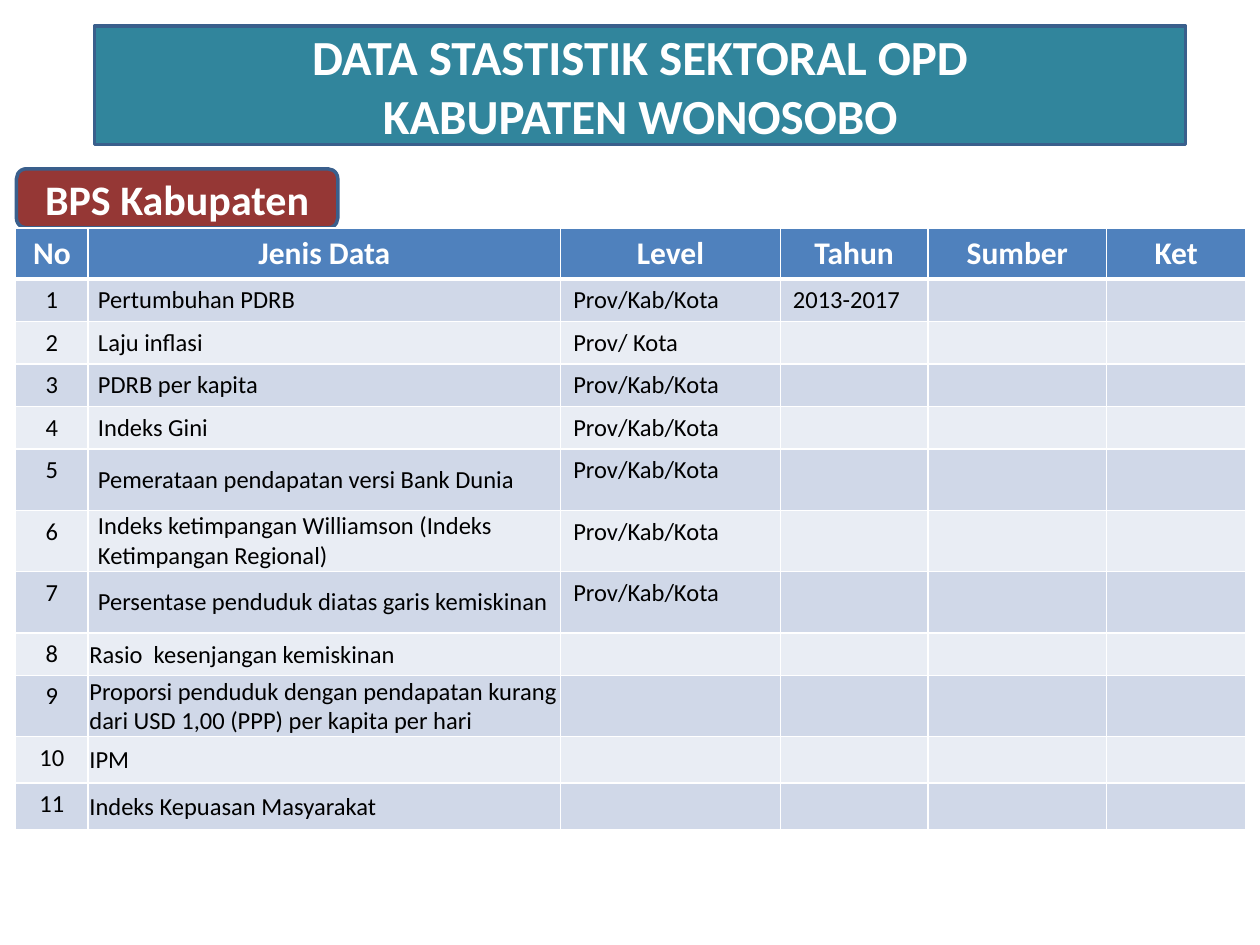
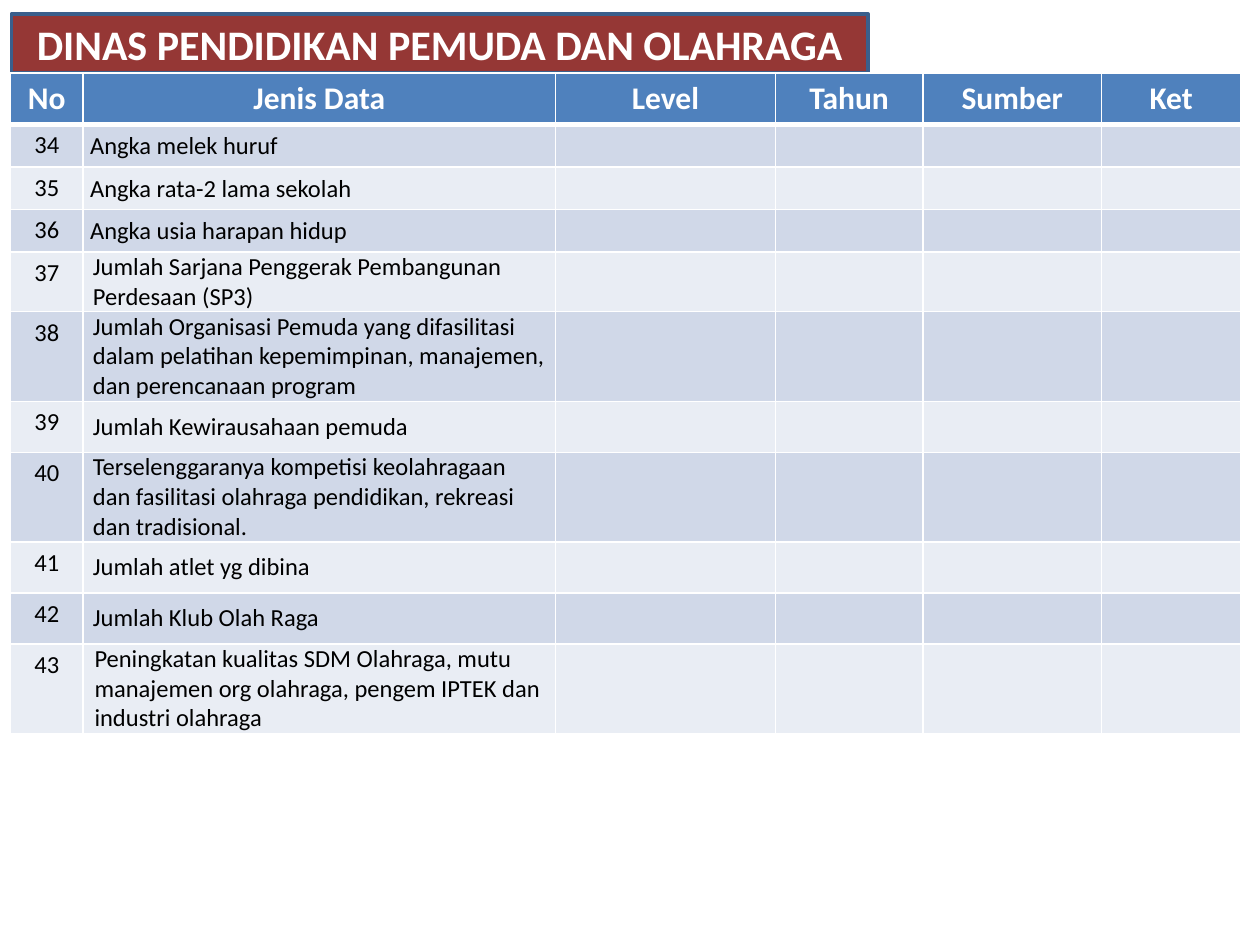
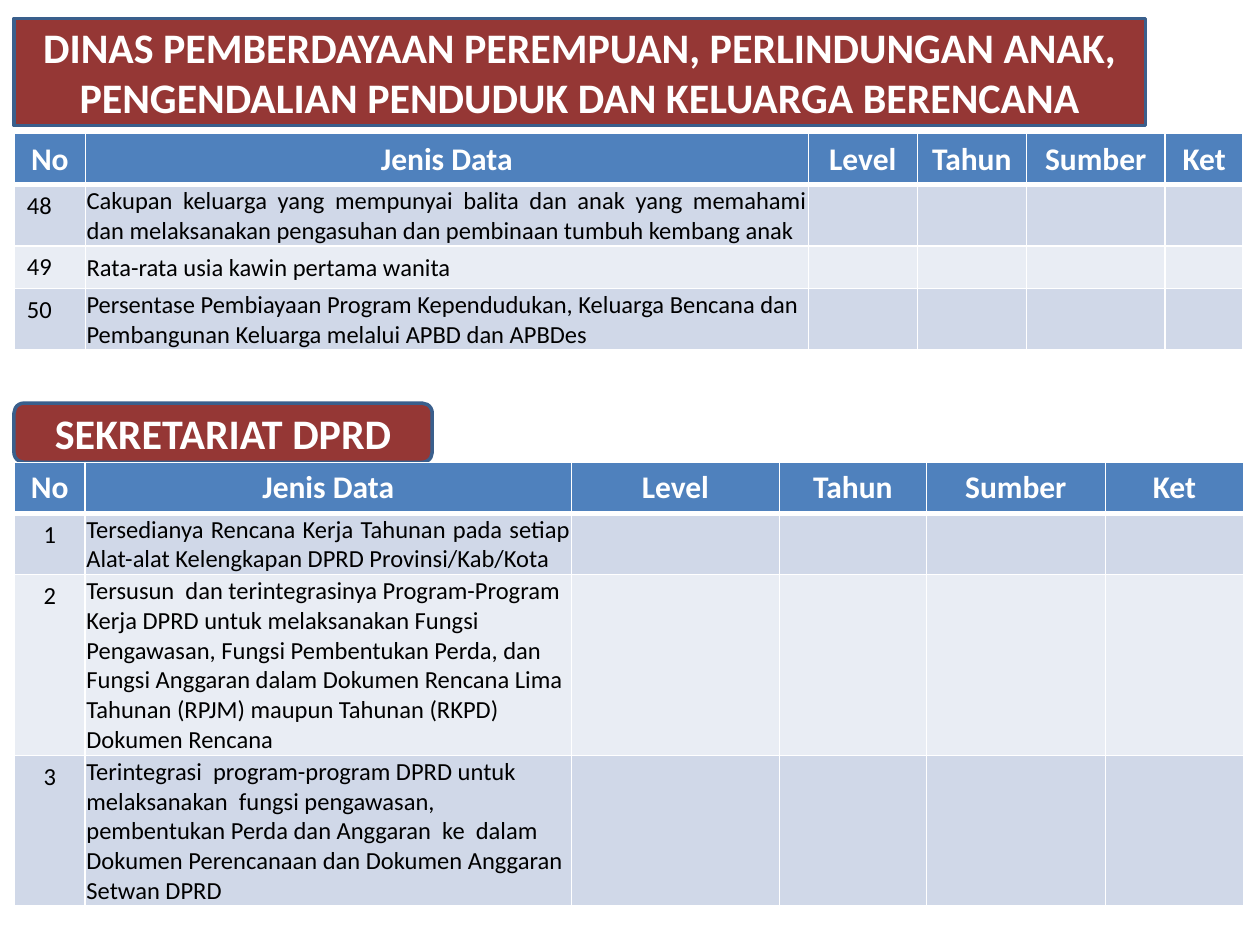
from lxml import etree
from pptx import Presentation
from pptx.dml.color import RGBColor
from pptx.enum import shapes, text
from pptx.oxml.ns import qn
from pptx.util import Pt

# Shared look
FONT = "Calibri"
WHITE, BLACK = "FFFFFF", "000000"
TEAL, RED, OUTLINE = "31859C", "953735", "3A5F8C"
HEADER_FILL, ROW_FILLS = "4F81BD", ("D0D8E8", "E9EDF4")
HEADER_HEIGHT = 29.2
HEADINGS = ("No", "Jenis Data", "Level", "Tahun", "Sumber", "Ket")
CENTER, LEFT, JUSTIFY = text.PP_ALIGN.CENTER, text.PP_ALIGN.LEFT, text.PP_ALIGN.JUSTIFY

# Text styles of the data column: margins (left, top, right, bottom), paragraph spacing, alignment
DATA_STYLES = {
    "padded": ((5.6, 0, 5, 0), 4.8, LEFT),
    "tight": ((0.7, 0.7, 0.7, 0), 0, LEFT),
    "indented": ((4, 0.7, 0.7, 0), 0, LEFT),
    "hanging": ((6.5, 0, 0, 0), 0, LEFT),
    "justified": ((0.7, 0.7, 0.7, 0), 0, JUSTIFY),
}

# Row heights: one, two, three lines of data, and two roomier single lines
ONE, TWO, THREE, ROOMY, TALL = 24.3, 35, 51.3, 26.6, 29.1
REGIONS = "Prov/Kab/Kota"
WIDE_COLUMNS = (41.5, 270, 125.5, 84.5, 102, 79.5)

# Content: rows are (height, data style, number, data, level, year)
SLIDES = [
    {
        "title": {"text": "DATA STASTISTIK SEKTORAL OPD\nKABUPATEN WONOSOBO", "size": 28,
                  "fill": TEAL, "box": (54, 15, 623.5, 67.7), "rounded": False},
        "sections": [{
            "banner": {"text": "BPS Kabupaten", "box": (9.4, 96.5, 183.6, 33.8)},
            "origin": (8.9, 130.3), "columns": WIDE_COLUMNS, "number_align": CENTER,
            "rows": [
                (ONE, "padded", "1", "Pertumbuhan PDRB", REGIONS, "2013-2017"),
                (ONE, "padded", "2", "Laju inflasi", "Prov/ Kota"),
                (ONE, "padded", "3", "PDRB per kapita", REGIONS),
                (ONE, "padded", "4", "Indeks Gini", REGIONS),
                (TWO, "padded", "5", "Pemerataan pendapatan versi Bank Dunia", REGIONS),
                (TWO, "padded", "6",
                 "Indeks ketimpangan Williamson (Indeks Ketimpangan Regional)", REGIONS),
                (TWO, "padded", "7", "Persentase penduduk diatas garis kemiskinan", REGIONS),
                (ONE, "tight", "8", "Rasio  kesenjangan kemiskinan"),
                (TWO, "tight", "9", "Proporsi penduduk dengan pendapatan kurang dari "
                                    "USD 1,00 (PPP) per kapita per hari"),
                (ROOMY, "tight", "10", "IPM"),
                (ROOMY, "tight", "11", "Indeks Kepuasan Masyarakat"),
            ],
        }],
    },
    {
        "title": {"text": "DINAS PENDIDIKAN PEMUDA DAN OLAHRAGA", "box": (6.5, 8, 489.6, 33.8)},
        "sections": [{
            "origin": (6, 41.8), "columns": WIDE_COLUMNS, "number_align": CENTER,
            "rows": [
                (ONE, "indented", "34", "Angka melek huruf"),
                (ONE, "indented", "35", "Angka rata-2 lama sekolah"),
                (ONE, "indented", "36", "Angka usia harapan hidup"),
                (34.2, "padded", "37", "Jumlah Sarjana Penggerak Pembangunan Perdesaan (SP3)"),
                (THREE, "padded", "38", "Jumlah Organisasi Pemuda yang difasilitasi dalam "
                                        "pelatihan kepemimpinan, manajemen, dan perencanaan program"),
                (TALL, "padded", "39", "Jumlah Kewirausahaan pemuda"),
                (THREE, "padded", "40", "Terselenggaranya kompetisi keolahragaan dan fasilitasi "
                                        "olahraga pendidikan, rekreasi dan tradisional."),
                (TALL, "padded", "41", "Jumlah atlet yg dibina"),
                (TALL, "padded", "42", "Jumlah Klub Olah Raga"),
                (THREE, "hanging", "43", "Peningkatan kualitas SDM Olahraga, mutu manajemen org "
                                         "olahraga, pengem IPTEK dan industri olahraga"),
            ],
        }],
    },
    {
        "title": {"text": "DINAS PEMBERDAYAAN PEREMPUAN, PERLINDUNGAN ANAK, "
                          "PENGENDALIAN PENDUDUK DAN KELUARGA BERENCANA",
                  "box": (8, 10.5, 646.6, 61.2)},
        "sections": [
            {
                "origin": (8.2, 76.4), "columns": (40.6, 413.1, 62.3, 62.3, 79.4, 44.6),
                "number_align": LEFT,
                "rows": [
                    (TWO, "justified", "48",
                     "Cakupan keluarga yang mempunyai balita dan anak yang memahami dan "
                     "melaksanakan pengasuhan dan pembinaan tumbuh kembang anak"),
                    (ONE, "justified", "49", "Rata-rata usia kawin pertama wanita"),
                    (TWO, "tight", "50",
                     "Persentase Pembiayaan Program Kependudukan, Keluarga Bencana dan "
                     "Pembangunan Keluarga melalui APBD dan APBDes"),
                ],
            },
            {
                "banner": {"text": "SEKRETARIAT DPRD", "box": (8, 230.4, 239, 33.8)},
                "origin": (8.1, 264.2), "columns": (40.6, 277.8, 118.9, 84, 102.3, 78.9),
                "number_align": CENTER,
                "rows": [
                    (TWO, "justified", "1", "Tersedianya Rencana Kerja Tahunan pada setiap "
                                            "Alat-alat Kelengkapan DPRD Provinsi/Kab/Kota"),
                    (103.3, "tight", "2",
                     "Tersusun  dan terintegrasinya Program-Program Kerja DPRD untuk melaksanakan "
                     "Fungsi Pengawasan, Fungsi Pembentukan Perda, dan Fungsi Anggaran dalam "
                     "Dokumen Rencana Lima Tahunan (RPJM) maupun Tahunan (RKPD) Dokumen Rencana"),
                    (86.2, "tight", "3",
                     "Terintegrasi  program-program DPRD untuk melaksanakan  fungsi pengawasan, "
                     "pembentukan Perda dan Anggaran  ke  dalam Dokumen Perencanaan dan "
                     "Dokumen Anggaran Setwan DPRD"),
                ],
            },
        ],
    },
]


def color(value):
    return RGBColor.from_string(value)


def format_text(paragraph, size, font_color, bold, align):
    paragraph.alignment = align
    for run in paragraph.runs:
        run.font.name, run.font.size, run.font.bold = FONT, Pt(size), bold
        run.font.color.rgb = color(font_color)
    if not paragraph.runs:
        etree.SubElement(paragraph._p, qn("a:endParaRPr"), sz=str(size * 100))


# Banners and titles
def format_banner(shape, banner):
    shape.fill.solid()
    shape.fill.fore_color.rgb = color(banner.get("fill", RED))
    shape.line.color.rgb = color(OUTLINE)
    shape.line.width = Pt(2)
    shape.shadow.inherit = False
    frame = shape.text_frame
    frame.text = banner["text"]
    frame.word_wrap = True
    frame.auto_size = text.MSO_AUTO_SIZE.NONE
    frame.vertical_anchor = text.MSO_ANCHOR.MIDDLE
    for paragraph in frame.paragraphs:
        format_text(paragraph, banner.get("size", 24), WHITE, True, CENTER)


def add_title(slide, title):
    shape = slide.shapes.title
    shape.left, shape.top, shape.width, shape.height = map(Pt, title["box"])
    preset = "roundRect" if title.get("rounded", True) else "rect"
    geometry = etree.SubElement(shape._element.spPr, qn("a:prstGeom"), prst=preset)
    etree.SubElement(geometry, qn("a:avLst"))
    format_banner(shape, title)


def add_banner(slide, banner):
    kind = shapes.MSO_SHAPE.ROUNDED_RECTANGLE
    format_banner(slide.shapes.add_shape(kind, *map(Pt, banner["box"])), banner)


# Tables
def format_cell(cell, row_index):
    properties = cell._tc.get_or_add_tcPr()
    thick_side = {0: "lnB", 1: "lnT"}.get(row_index)
    for side in ("lnL", "lnR", "lnT", "lnB"):
        width = Pt(3 if side == thick_side else 1)
        border = etree.SubElement(properties, qn(f"a:{side}"), w=str(width))
        solid = etree.SubElement(border, qn("a:solidFill"))
        etree.SubElement(solid, qn("a:srgbClr"), val=WHITE)
    cell.fill.solid()
    cell.fill.fore_color.rgb = color(ROW_FILLS[(row_index - 1) % 2] if row_index else HEADER_FILL)


def format_data_cell(cell, style):
    margins, spacing, align = DATA_STYLES[style]
    cell.margin_left, cell.margin_top, cell.margin_right, cell.margin_bottom = map(Pt, margins)
    cell.vertical_anchor = text.MSO_ANCHOR.MIDDLE
    paragraph = cell.text_frame.paragraphs[0]
    paragraph.alignment = align
    paragraph.space_before = paragraph.space_after = Pt(spacing)


def add_data_table(slide, section):
    columns = section["columns"]
    rows = [(HEADER_HEIGHT, None, *HEADINGS), *section["rows"]]
    heights = [row[0] for row in rows]
    left, top = section["origin"]
    table = slide.shapes.add_table(len(rows), len(columns), Pt(left), Pt(top),
                                   Pt(sum(columns)), Pt(sum(heights))).table
    for column, width in zip(table.columns, columns):
        column.width = Pt(width)
    for row_index, (height, style, *values) in enumerate(rows):
        table.rows[row_index].height = Pt(height)
        for column_index in range(len(columns)):
            cell = table.cell(row_index, column_index)
            format_cell(cell, row_index)
            if column_index < len(values):
                cell.text_frame.text = values[column_index]
            paragraph = cell.text_frame.paragraphs[0]
            if row_index == 0:
                format_text(paragraph, 18, WHITE, True, CENTER)
                continue
            align = section["number_align"] if column_index == 0 else LEFT
            format_text(paragraph, 14, BLACK, False, align)
            if column_index == 1:
                format_data_cell(cell, style)


def main():
    presentation = Presentation()
    presentation.slide_width, presentation.slide_height = Pt(720), Pt(540)
    title_only = presentation.slide_layouts[5]
    for content in SLIDES:
        slide = presentation.slides.add_slide(title_only)
        add_title(slide, content["title"])
        for section in content["sections"]:
            if "banner" in section:
                add_banner(slide, section["banner"])
            add_data_table(slide, section)
    presentation.save("out.pptx")


if __name__ == "__main__":
    main()
